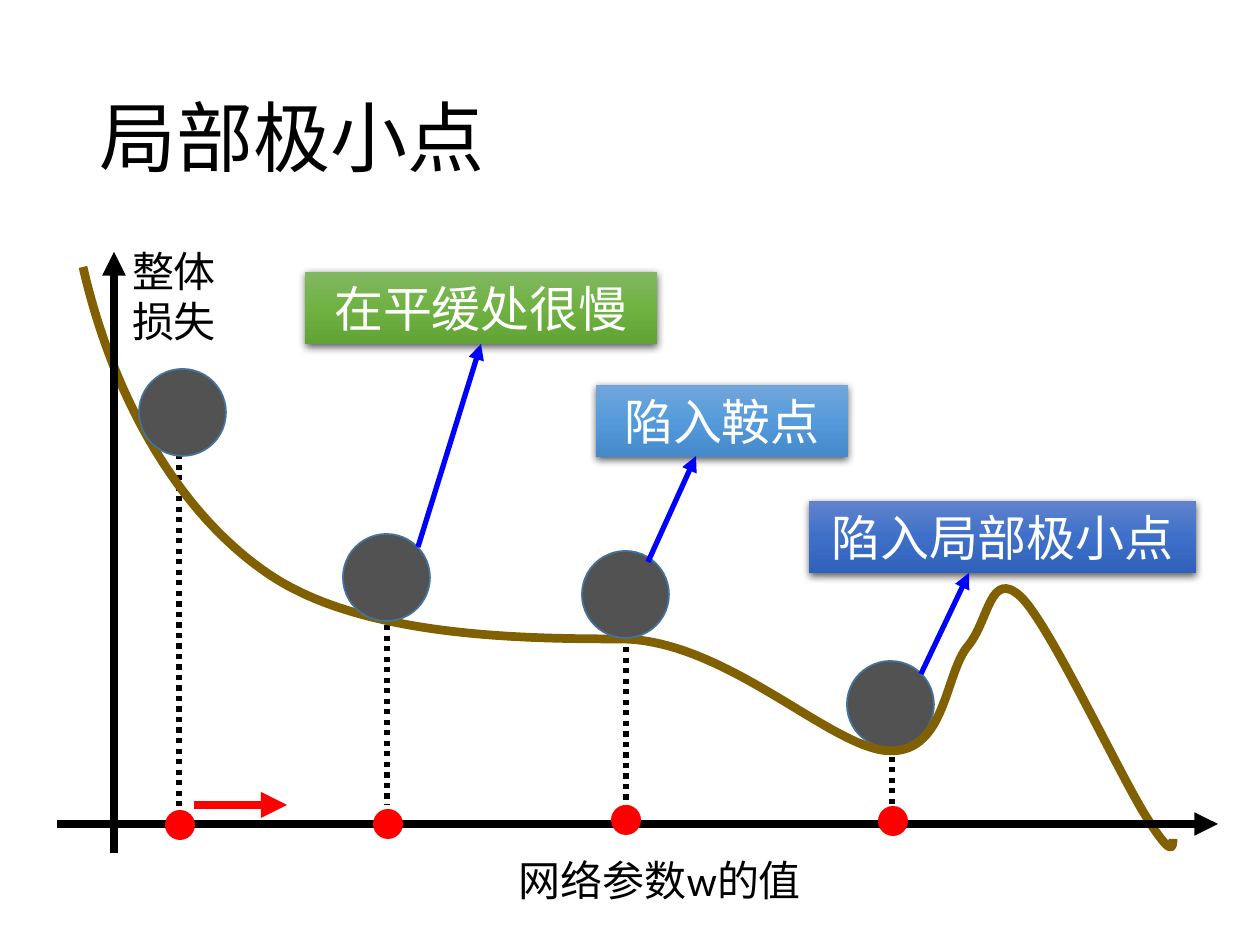
import copy

import pptx
import pptx.dml.color
import pptx.enum.dml
import pptx.enum.shapes
import pptx.enum.text
import pptx.oxml
import pptx.oxml.ns
import pptx.util

COLORS = {
    "ink": "000000", "white": "FFFFFF", "ball": "525252", "ball_edge": "43739E",
    "curve": "806000", "red": "FF0000", "blue": "0000FF",
}
GRADIENTS = {
    "green": ("81B861", "6FB242", "62A336"),
    "navy": ("6183CB", "3E70CA", "3062BB"),
    "sky": ("71A6DB", "559BDB", "448ACA"),
}
CURVE_POINTS = [
    (83, 267),
    (113, 398), (178, 512), (267, 573),
    (358, 636), (515, 639), (620, 639),
    (726, 639), (832, 750), (890, 751),
    (946, 752), (945, 673), (968, 646),
    (989, 621), (990, 568), (1021, 597),
    (1050, 625), (1120, 776), (1147, 818),
    (1172, 858), (1173, 848), (1173, 839),
]
NAMESPACE = pptx.oxml.ns.nsdecls("a")
SHAPES = pptx.enum.shapes.MSO_SHAPE
ALIGN = pptx.enum.text.PP_ALIGN
ANCHOR = pptx.enum.text.MSO_ANCHOR


def rgb(value):
    """Turn a hex string into a colour."""
    return pptx.dml.color.RGBColor.from_string(value)


class SlidePainter:
    """Draws styled elements on the current slide, in px."""

    SCALE = 914400 // 126
    FONT = "Calibri"
    BALL_SIZE = 87
    DOT_SIZE = 30

    def __init__(self, slide):
        """Keep the slide to draw on."""
        self.slide = slide

    def emu(self, *lengths):
        """Convert px lengths to EMU."""
        return [pptx.util.Emu(length * self.SCALE) for length in lengths]

    def set_text(self, shape, text, size, color="ink", align=ALIGN.CENTER):
        """Put one styled paragraph in a shape."""
        frame = shape.text_frame
        frame.text = text
        frame.word_wrap = True
        paragraph = frame.paragraphs[0]
        paragraph.alignment = align
        font = paragraph.runs[0].font
        font.name = self.FONT
        font.size = pptx.util.Pt(size)
        font.color.rgb = rgb(COLORS[color])
        return paragraph

    def title(self, text, box):
        """Fill and place the title placeholder."""
        shape = self.slide.shapes.title
        shape.left, shape.top, shape.width, shape.height = self.emu(*box)
        paragraph = self.set_text(shape, text, 44, align=ALIGN.LEFT)
        paragraph.line_spacing = 0.9
        shape.text_frame.vertical_anchor = ANCHOR.MIDDLE

    def label(self, text, box):
        """Add a centred text box."""
        self.set_text(self.slide.shapes.add_textbox(*self.emu(*box)), text, 24)

    def line(self, start, end, color="ink", width=3.0, dotted=False, arrow=True):
        """Add a straight line, dotted or with an arrowhead."""
        kind = pptx.enum.shapes.MSO_CONNECTOR.STRAIGHT
        connector = self.slide.shapes.add_connector(kind, *self.emu(*start, *end))
        connector.line.color.rgb = rgb(COLORS[color])
        connector.line.width = pptx.util.Pt(width)
        if dotted:
            connector.line.dash_style = pptx.enum.dml.MSO_LINE.ROUND_DOT
        if arrow:
            connector.line._get_or_add_ln().append(
                pptx.oxml.parse_xml(f'<a:tailEnd {NAMESPACE} type="triangle"/>'))
        connector._element.spPr.append(
            pptx.oxml.parse_xml(f"<a:effectLst {NAMESPACE}/>"))
        return connector

    def drop_line(self, x, top, bottom):
        """Add a dotted vertical line."""
        self.line((x, top), (x, bottom), dotted=True, arrow=False)

    def circle(self, left, top, size, fill, edge=None):
        """Add a filled circle."""
        shape = self.slide.shapes.add_shape(
            SHAPES.OVAL, *self.emu(left, top, size, size))
        shape.shadow.inherit = False
        shape.fill.solid()
        shape.fill.fore_color.rgb = rgb(COLORS[fill])
        if edge:
            shape.line.color.rgb = rgb(COLORS[edge])
            shape.line.width = pptx.util.Pt(1)
        else:
            shape.line.fill.background()

    def ball(self, left, top):
        """Add a rolling ball."""
        self.circle(left, top, self.BALL_SIZE, "ball", "ball_edge")

    def dot(self, left, top):
        """Add a red marker on the axis."""
        self.circle(left, top, self.DOT_SIZE, "red")

    def callout(self, text, box, gradient):
        """Add a gradient rectangle with a soft shadow."""
        shape = self.slide.shapes.add_shape(SHAPES.RECTANGLE, *self.emu(*box))
        shape.line.fill.background()
        shape.fill.gradient()
        shape.fill.gradient_angle = 270
        first_stop = shape._element.xpath(".//a:gs")[0]
        first_stop.addnext(copy.deepcopy(first_stop))
        stops = shape.fill.gradient_stops
        for stop, position, color in zip(stops, (0, 0.5, 1), GRADIENTS[gradient]):
            stop.position = position
            stop.color.rgb = rgb(color)
        shape.shadow.inherit = False
        shape._element.xpath(".//a:effectLst")[0].append(pptx.oxml.parse_xml(
            f'<a:outerShdw {NAMESPACE} blurRad="57150" dist="19050" dir="5400000" '
            'algn="ctr" rotWithShape="0"><a:srgbClr val="000000">'
            '<a:alpha val="63000"/></a:srgbClr></a:outerShdw>'))
        self.set_text(shape, text, 28, "white")
        return shape

    def curve(self, points):
        """Add an open cubic curve through groups of three points."""
        builder = self.slide.shapes.build_freeform(*points[0], scale=self.SCALE)
        builder.add_line_segments(points[1:], close=False)
        shape = builder.convert_to_shape()
        segments = shape._element.xpath(".//a:path/a:lnTo")
        for index in range(0, len(segments), 3):
            cubic = pptx.oxml.parse_xml(f"<a:cubicBezTo {NAMESPACE}/>")
            segments[index].addprevious(cubic)
            for segment in segments[index:index + 3]:
                cubic.append(segment[0])
                segment.getparent().remove(segment)
        shape.shadow.inherit = False
        shape.fill.background()
        shape.line.color.rgb = rgb(COLORS["curve"])
        shape.line.width = pptx.util.Pt(5)


def main():
    """Build the slide and save it."""
    presentation = pptx.Presentation()
    presentation.slide_width = pptx.util.Inches(10)
    presentation.slide_height = pptx.util.Inches(7.5)
    painter = SlidePainter(
        presentation.slides.add_slide(presentation.slide_layouts[5]))

    painter.title("局部极小点", (87, 50, 1086, 183))
    painter.drop_line(892, 704, 805)
    painter.ball(847, 661)
    for x, top, bottom in ((626, 563, 806), (387, 562, 805), (179, 412, 809)):
        painter.drop_line(x, top, bottom)
    painter.line((194, 805), (287, 805), "red", 5)
    painter.curve(CURVE_POINTS)
    painter.ball(582, 551)
    painter.line((57, 824), (1218, 824), width=4.5)
    painter.line((114, 853), (114, 252), width=4.5)
    painter.label("整体损失", (107, 239, 134, 115))
    painter.label("网络参数w的值", (302, 848, 716, 63))

    plateau = painter.callout("在平缓处很慢", (305, 272, 352, 72), "green")
    painter.callout("陷入局部极小点", (809, 501, 387, 72), "navy")
    for left, top in ((139, 369), (343, 534)):
        painter.ball(left, top)
    painter.callout("陷入鞍点", (596, 385, 252, 72), "sky")
    painter.line((921, 674), (969, 573), "blue")
    painter.line((648, 562), (696, 456), "blue")
    painter.line((418, 547), (480, 344), "blue").end_connect(plateau, 2)

    for left, top in ((165, 810), (373, 809), (611, 805), (878, 806)):
        painter.dot(left, top)
    presentation.save("out.pptx")


if __name__ == "__main__":
    main()
